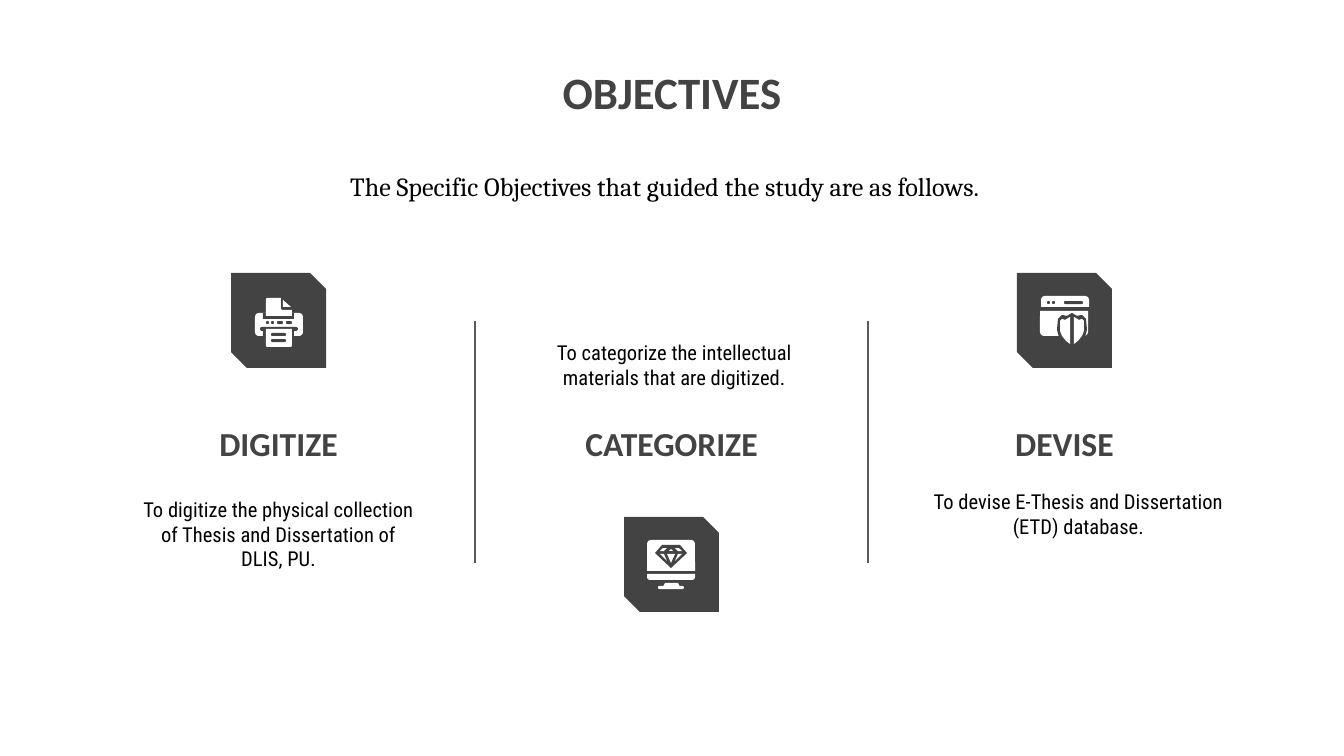
from pptx import Presentation
from pptx import util as u
from pptx.dml.color import RGBColor
from pptx.enum import shapes, text
from lxml import etree

PX = 914400 / 134.4
DARK = RGBColor(0x43, 0x43, 0x43)
GREY = RGBColor(0x59, 0x59, 0x59)
BLACK = RGBColor(0, 0, 0)
WHITE = RGBColor(255, 255, 255)
KIND = shapes.MSO_SHAPE
RECT, ROUND, CAP = KIND.RECTANGLE, KIND.ROUNDED_RECTANGLE, KIND.ROUND_2_SAME_RECTANGLE

TITLE = "OBJECTIVES"
INTRO = "The Specific Objectives that guided the study are as follows."
# heading, detail, detail box, top of the tile
GOALS = [
    ("DIGITIZE", "To digitize the physical collection of Thesis and Dissertation of DLIS, PU.",
     (128, 484, 301, 148), 273),
    ("CATEGORIZE", "To categorize the intellectual materials that are digitized.",
     (511, 327, 327, 148), 517),
    ("DEVISE", "To devise E-Thesis and Dissertation (ETD) database.",
     (915, 476, 327, 148), 273),
]
LEFT, PITCH, TILE = 82, 393, 95


def flip(pts, axis):
    return [(2 * axis - x, y) for x, y in reversed(pts)]


# Icon parts, in px from the corner of the tile:
# (colour, points) or (colour, kind, box, corner sizes)
EDGE = [(55, 40), (50, 43), (45, 42), (41, 46), (40, 57), (42, 64)]
HALF = [(53, 44), (48, 47), (45, 46), (43, 48), (43, 58), (45, 63), (49, 68), (53, 71)]
CROWN = [(39, 31), (36, 34), (40, 34), (43, 31)]
FACET = [(36, 37), (43, 44), (40, 37)]

PRINTER = [
    (WHITE, ROUND, (24, 40, 48, 23), [0.17]),
    (DARK, RECT, (32, 40, 31, 6), []),
    (DARK, ROUND, (29, 54, 38, 4), [0.5]),
    (DARK, RECT, (32, 56, 31, 7), []),
    (WHITE, [(35, 26), (36, 25), (50, 25), (50, 36), (51, 37), (61, 37), (61, 43), (35, 43)]),
    (WHITE, [(52, 27), (52, 34), (60, 34)]),
    (WHITE, CAP, (35, 56, 26, 18), [0, 0.08]),
] + [(DARK, ROUND, box, [0.5]) for box in (
    (35, 48, 3, 3), (40, 48, 3, 3), (46, 48, 6, 3), (55, 48, 6, 3),
    (40, 60, 15, 3), (40, 66, 15, 3))]

SCREEN = [
    (WHITE, CAP, (23, 23, 48, 31), [0.13, 0]),
    (WHITE, CAP, (23, 57, 48, 6), [0, 0.5]),
    (WHITE, [(41, 66), (54, 66), (56, 70), (39, 70)]),
    (WHITE, ROUND, (34, 69, 26, 3), [0.5]),
    (DARK, [(38, 28), (56, 28), (63, 36), (47, 51), (31, 36)]),
    (WHITE, [(47, 32), (45, 34), (49, 34)]),
    (WHITE, [(43, 37), (47, 46), (51, 37)]),
] + [(WHITE, pts) for half in (CROWN, FACET) for pts in (half, flip(half, 47))]

SHIELD = [
    (WHITE, CAP, (24, 23, 48, 11), [0.36, 0]),
    (WHITE, CAP, (23, 38, 48, 25), [0, 0.16]),
    (DARK, ROUND, (30, 28, 3, 3), [0.5]),
    (DARK, ROUND, (35, 28, 3, 3), [0.5]),
    (DARK, ROUND, (47, 28, 19, 3), [0.5]),
    (DARK, EDGE + flip(EDGE, 55)),
    (WHITE, HALF),
    (WHITE, flip(HALF, 55)),
]


def px(*nums):
    return [u.Emu(round(n * PX)) for n in nums]


def paint(shape, tone):
    shape.shadow.inherit = False
    shape.fill.solid()
    shape.fill.fore_color.rgb = tone
    shape.line.fill.background()


def add_part(home, x, y, tone, form, box=None, turns=()):
    """Add one preset shape or outline, shifted by x and y."""
    if box is None:
        pts = [tuple(px(x + a, y + b)) for a, b in form]
        pen = home.build_freeform(*pts[0], scale=1.0)
        pen.add_line_segments(pts[1:], close=True)
        shape = pen.convert_to_shape()
    else:
        shape = home.add_shape(form, *px(x + box[0], y + box[1], *box[2:]))
        for i, turn in enumerate(turns):
            shape.adjustments[i] = turn
    paint(shape, tone)


def write(shape, words, size, font, tone=BLACK, bold=False, pad=(13, 13),
          anchor=text.MSO_ANCHOR.TOP):
    frame = shape.text_frame
    frame.word_wrap = True
    frame.auto_size = text.MSO_AUTO_SIZE.NONE
    frame.vertical_anchor = anchor
    frame.margin_left = frame.margin_right = px(pad[0])[0]
    frame.margin_top = frame.margin_bottom = px(pad[1])[0]
    para = frame.paragraphs[0]
    para.alignment = text.PP_ALIGN.CENTER
    run = para.add_run()
    run.text = words
    run.font.size, run.font.name, run.font.bold = u.Pt(size), font, bold
    run.font.color.rgb = tone


def main():
    deck = Presentation()
    deck.slide_width, deck.slide_height = px(1344, 756)
    slide = deck.slides.add_slide(deck.slide_layouts[5])
    items = slide.shapes

    title = items.title
    title.left, title.top, title.width, title.height = px(289, 52, 766, 138)
    write(title, TITLE, 24, "Calibri", tone=DARK, bold=True)
    write(items.add_textbox(*px(288, 163, 754, 46)), INTRO, 14, "Cambria", pad=(13, 7))

    for col, ((head, detail, box, top), icon) in enumerate(zip(GOALS, (PRINTER, SCREEN, SHIELD))):
        left = LEFT + col * PITCH
        write(items.add_textbox(*px(left, 413, PITCH, 63)), head, 18, "Calibri",
              tone=DARK, bold=True, anchor=text.MSO_ANCHOR.BOTTOM)
        write(items.add_textbox(*px(*box)), detail, 11, "Roboto Condensed")

        x = left + (PITCH - TILE) // 2
        add_part(items, x, top, DARK, KIND.SNIP_2_DIAG_RECTANGLE, (0, 0, TILE, TILE), (0, 0.167))
        group = items.add_group_shape()
        for part in icon:
            add_part(group.shapes, x, top, *part)

        if col:
            rule = items.add_connector(shapes.MSO_CONNECTOR.STRAIGHT, *px(left, 321, left, 563))
            rule.line.color.rgb = GREY
            rule.line.width = u.Pt(0.75)
            etree.SubElement(rule._element.spPr,
                             "{http://schemas.openxmlformats.org/drawingml/2006/main}effectLst")

    deck.save("out.pptx")


if __name__ == "__main__":
    main()
